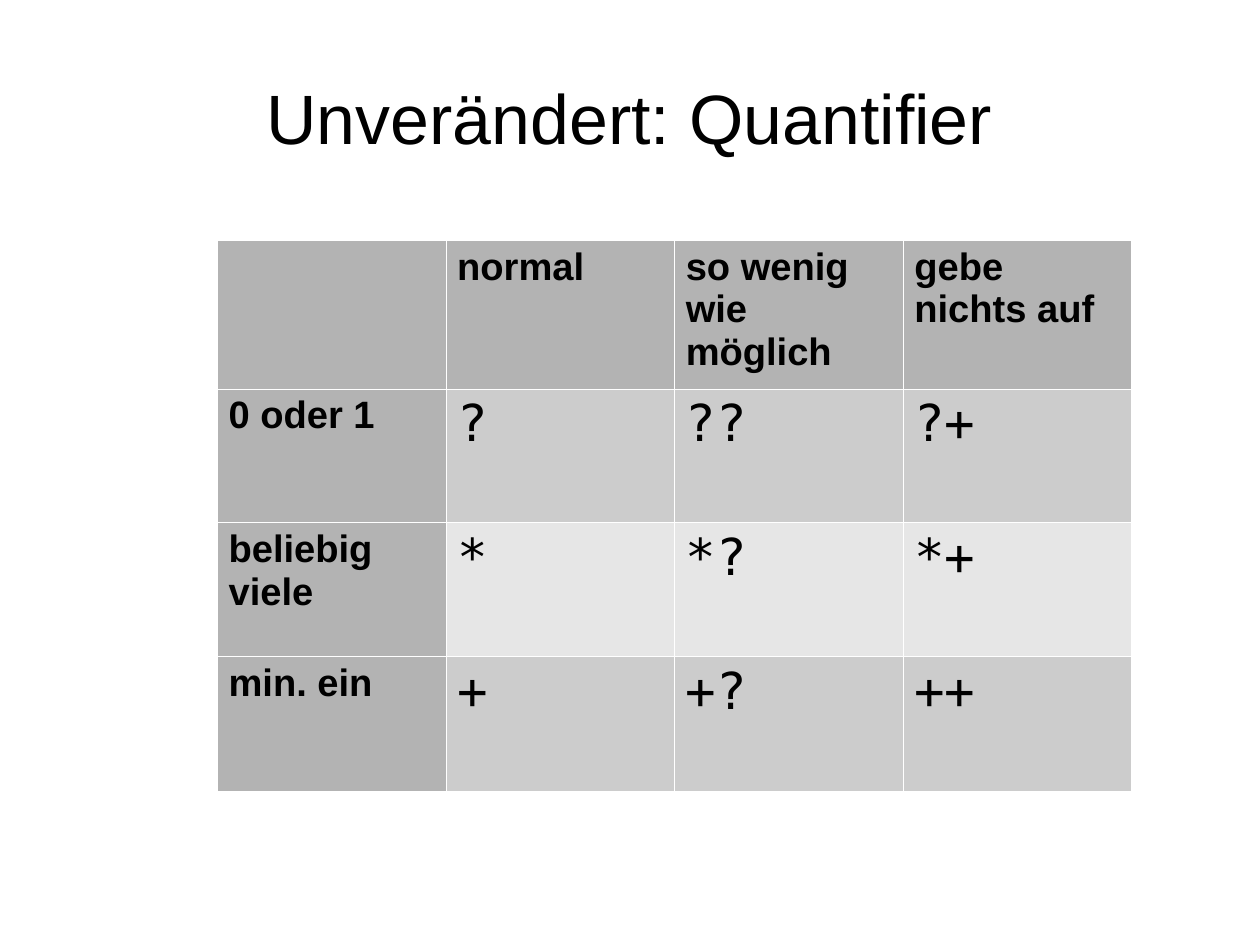
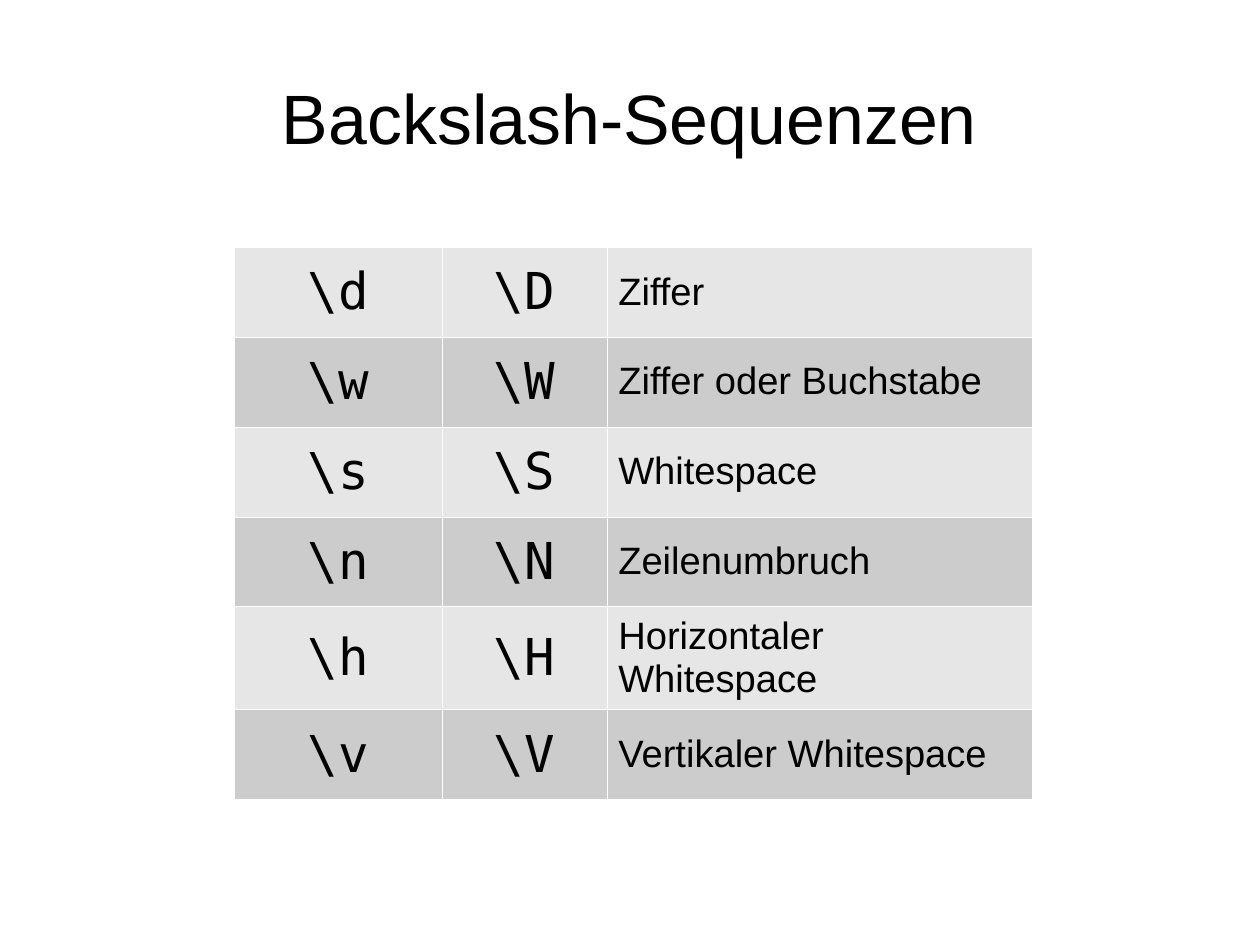
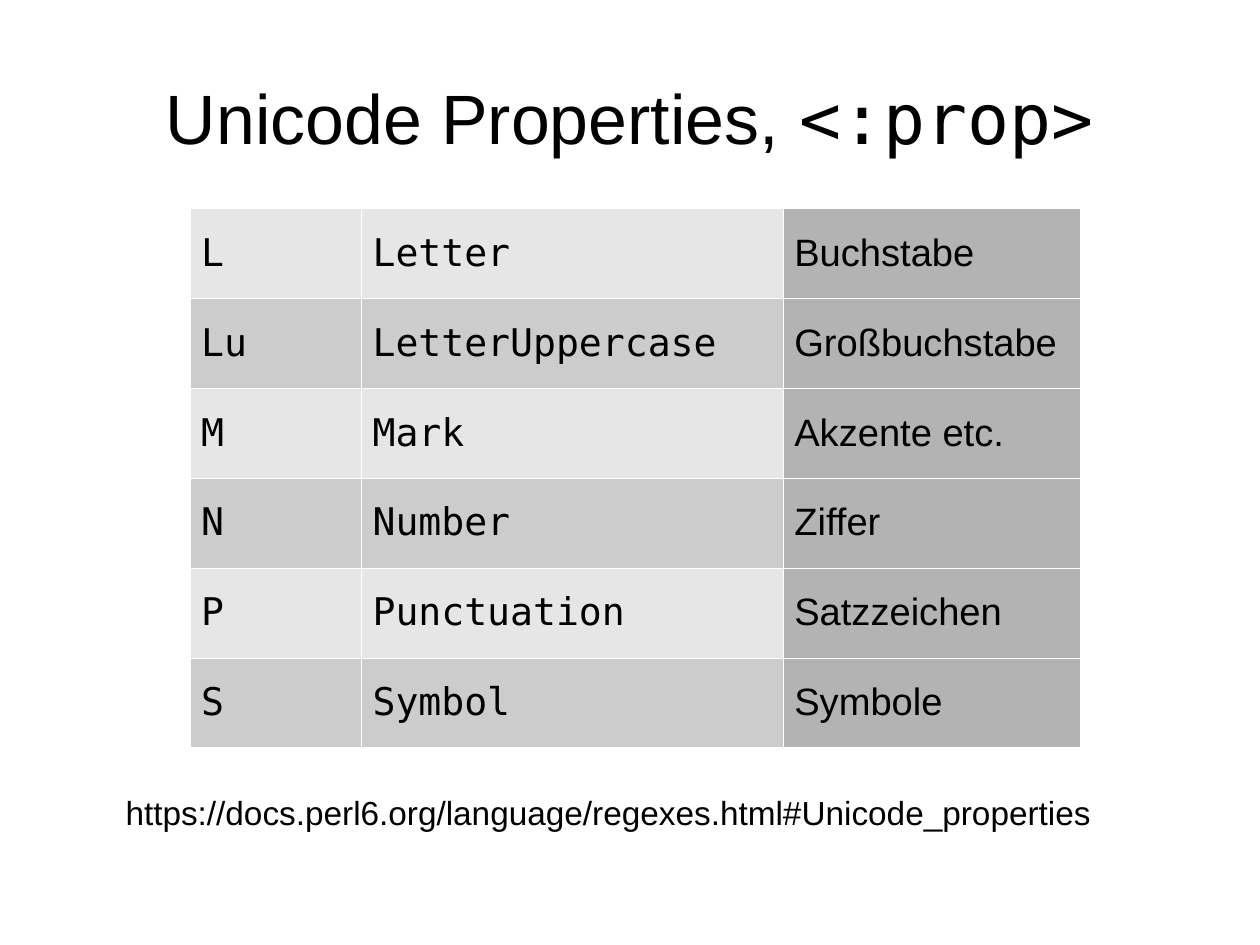
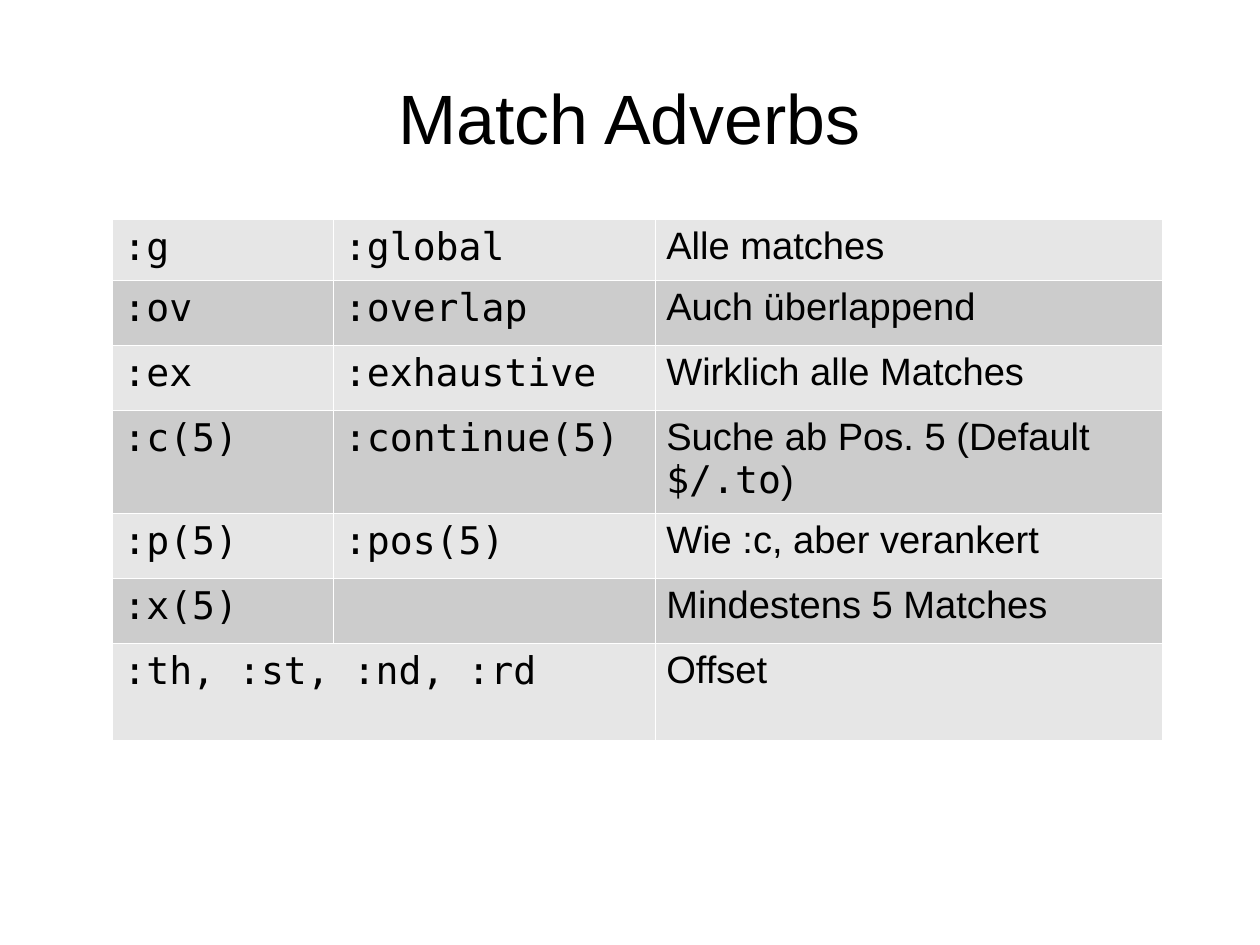
from dataclasses import dataclass
from typing import Optional

from lxml.etree import SubElement
from pptx import Presentation
from pptx.dml.color import RGBColor
from pptx.enum.text import MSO_ANCHOR, PP_ALIGN
from pptx.oxml.ns import qn
from pptx.slide import Slide
from pptx.table import _Cell
from pptx.text.text import TextFrame
from pptx.util import Inches, Pt

COLORS = {
    "text": "000000",
    "border": "FFFFFF",
    "header": "B3B3B3",
    "light": "E6E6E6",
    "dark": "CCCCCC",
}
SANS = "Arial"
MONO = "DejaVu Sans Mono"
CODE_MARK = "`"
BORDER_WIDTH = Pt(0.06)
CENTIMETERS_PER_INCH = 2.54
SLIDE_WIDTH = 28 / CENTIMETERS_PER_INCH
SLIDE_HEIGHT = 21 / CENTIMETERS_PER_INCH
SIXTH_ROW = 4.72 / 6


@dataclass(frozen=True)
class TextStyle:
    font: str = SANS
    size: int = 24
    bold: bool = False
    alignment: PP_ALIGN = PP_ALIGN.LEFT


@dataclass(frozen=True)
class Column:
    width: float
    style: TextStyle
    is_header: bool = False


@dataclass(frozen=True)
class TableSlide:
    title: str
    left: float
    top: float
    columns: list[Column]
    row_heights: list[float]
    rows: list[list[Optional[str]]]
    anchor: MSO_ANCHOR = MSO_ANCHOR.TOP
    has_header_row: bool = False
    footnote: str = ""


TITLE = TextStyle(size=44, alignment=PP_ALIGN.CENTER)
FOOTNOTE = TextStyle(size=21)
HEADER = TextStyle(bold=True)
PLAIN = TextStyle()
CODE = TextStyle(MONO)
LARGE_CODE = TextStyle(MONO, 32)
CENTERED_CODE = TextStyle(MONO, 32, alignment=PP_ALIGN.CENTER)

TABLE_SLIDES = [
    TableSlide(
        title="Unverändert: Quantifier",
        left=1.9,
        top=2.1,
        columns=[Column(2, HEADER, is_header=True)] + [Column(2, LARGE_CODE)] * 3,
        row_heights=[1.3, 1.17, 1.17, 1.18],
        rows=[
            ["", "normal", "so wenig wie möglich", "gebe nichts auf"],
            ["0 oder 1", "?", "??", "?+"],
            ["beliebig viele", "*", "*?", "*+"],
            ["min. ein", "+", "+?", "++"],
        ],
        has_header_row=True,
    ),
    TableSlide(
        title="Backslash-Sequenzen",
        left=2.05,
        top=2.16,
        columns=[
            Column(1.82, CENTERED_CODE),
            Column(1.44, CENTERED_CODE),
            Column(3.72, PLAIN),
        ],
        row_heights=[SIXTH_ROW] * 4 + [0.9, SIXTH_ROW],
        rows=[
            [r"\d", r"\D", "Ziffer"],
            [r"\w", r"\W", "Ziffer oder Buchstabe"],
            [r"\s", r"\S", "Whitespace"],
            [r"\n", r"\N", "Zeilenumbruch"],
            [r"\h", r"\H", "Horizontaler Whitespace"],
            [r"\v", r"\V", "Vertikaler Whitespace"],
        ],
        anchor=MSO_ANCHOR.MIDDLE,
    ),
    TableSlide(
        title="Unicode Properties, `<:prop>`",
        left=1.66,
        top=1.82,
        columns=[
            Column(1.5, CODE),
            Column(3.69, CODE),
            Column(2.6, PLAIN, is_header=True),
        ],
        row_heights=[SIXTH_ROW] * 6,
        rows=[
            ["L", "Letter", "Buchstabe"],
            ["Lu", "LetterUppercase", "Großbuchstabe"],
            ["M", "Mark", "Akzente etc."],
            ["N", "Number", "Ziffer"],
            ["P", "Punctuation", "Satzzeichen"],
            ["S", "Symbol", "Symbole"],
        ],
        anchor=MSO_ANCHOR.MIDDLE,
        footnote="https://docs.perl6.org/language/regexes.html#Unicode_properties",
    ),
    TableSlide(
        title="Match Adverbs",
        left=0.98,
        top=1.92,
        columns=[Column(1.93, CODE), Column(2.82, CODE), Column(4.44, PLAIN)],
        row_heights=[0.53, 0.57, 0.57, 0.9, 0.57, 0.57, 0.85],
        rows=[
            [":g", ":global", "Alle matches"],
            [":ov", ":overlap", "Auch überlappend"],
            [":ex", ":exhaustive", "Wirklich alle Matches"],
            [":c(5)", ":continue(5)", "Suche ab Pos. 5 (Default `$/.to`)"],
            [":p(5)", ":pos(5)", "Wie :c, aber verankert"],
            [":x(5)", "", "Mindestens 5 Matches"],
            [":th, :st, :nd, :rd", None, "Offset"],
        ],
    ),
]


def write_text(frame: TextFrame, text: str, style: TextStyle) -> None:
    paragraph = frame.paragraphs[0]
    paragraph.alignment = style.alignment
    font = paragraph.font
    font.name = style.font
    font.size = Pt(style.size)
    font.bold = style.bold
    font.color.rgb = RGBColor.from_string(COLORS["text"])
    for index, part in enumerate(text.split(CODE_MARK)):
        if part:
            run = paragraph.add_run()
            run.text = part
            if index % 2:
                run.font.name = MONO


def add_text(
    slide: Slide, left: float, top: float, width: float, height: float,
    text: str, style: TextStyle,
) -> TextFrame:
    shape = slide.shapes.add_textbox(
        Inches(left), Inches(top), Inches(width), Inches(height)
    )
    frame = shape.text_frame
    frame.word_wrap = True
    write_text(frame, text, style)
    return frame


def add_title(slide: Slide, text: str) -> None:
    frame = add_text(slide, 0.55, 0.33, 9.92, 1.38, text, TITLE)
    frame.vertical_anchor = MSO_ANCHOR.MIDDLE
    frame.margin_left = frame.margin_right = 0
    frame.margin_top = frame.margin_bottom = 0


def format_cell(cell: _Cell, fill_color: str) -> None:
    properties = cell._tc.get_or_add_tcPr()
    for side in ("a:lnL", "a:lnR", "a:lnT", "a:lnB"):
        line = SubElement(properties, qn(side), w=str(int(BORDER_WIDTH)))
        line_fill = SubElement(line, qn("a:solidFill"))
        SubElement(line_fill, qn("a:srgbClr"), val=COLORS["border"])
    cell.fill.solid()
    cell.fill.fore_color.rgb = RGBColor.from_string(COLORS[fill_color])


def add_table(slide: Slide, content: TableSlide) -> None:
    table = slide.shapes.add_table(
        len(content.rows),
        len(content.columns),
        Inches(content.left),
        Inches(content.top),
        Inches(sum(column.width for column in content.columns)),
        Inches(sum(content.row_heights)),
    ).table
    table.first_row = False
    table.horz_banding = False
    for table_column, column in zip(table.columns, content.columns):
        table_column.width = Inches(column.width)
    for row_index, texts in enumerate(content.rows):
        table.rows[row_index].height = Inches(content.row_heights[row_index])
        in_header_row = content.has_header_row and row_index == 0
        stripe = "dark" if row_index % 2 else "light"
        for column_index, (column, text) in enumerate(zip(content.columns, texts)):
            cell = table.cell(row_index, column_index)
            is_header = in_header_row or column.is_header
            format_cell(cell, "header" if is_header else stripe)
            cell.vertical_anchor = content.anchor
            if text is None:
                table.cell(row_index, column_index - 1).merge(cell)
            elif text:
                style = HEADER if in_header_row else column.style
                write_text(cell.text_frame, text, style)


def main() -> None:
    presentation = Presentation()
    presentation.slide_width = Inches(SLIDE_WIDTH)
    presentation.slide_height = Inches(SLIDE_HEIGHT)
    blank_layout = presentation.slide_layouts[6]
    for content in TABLE_SLIDES:
        slide = presentation.slides.add_slide(blank_layout)
        add_title(slide, content.title)
        add_table(slide, content)
        if content.footnote:
            add_text(slide, 1, 6.88, 8.9, 0.72, content.footnote, FOOTNOTE)
    presentation.save("out.pptx")


if __name__ == "__main__":
    main()
